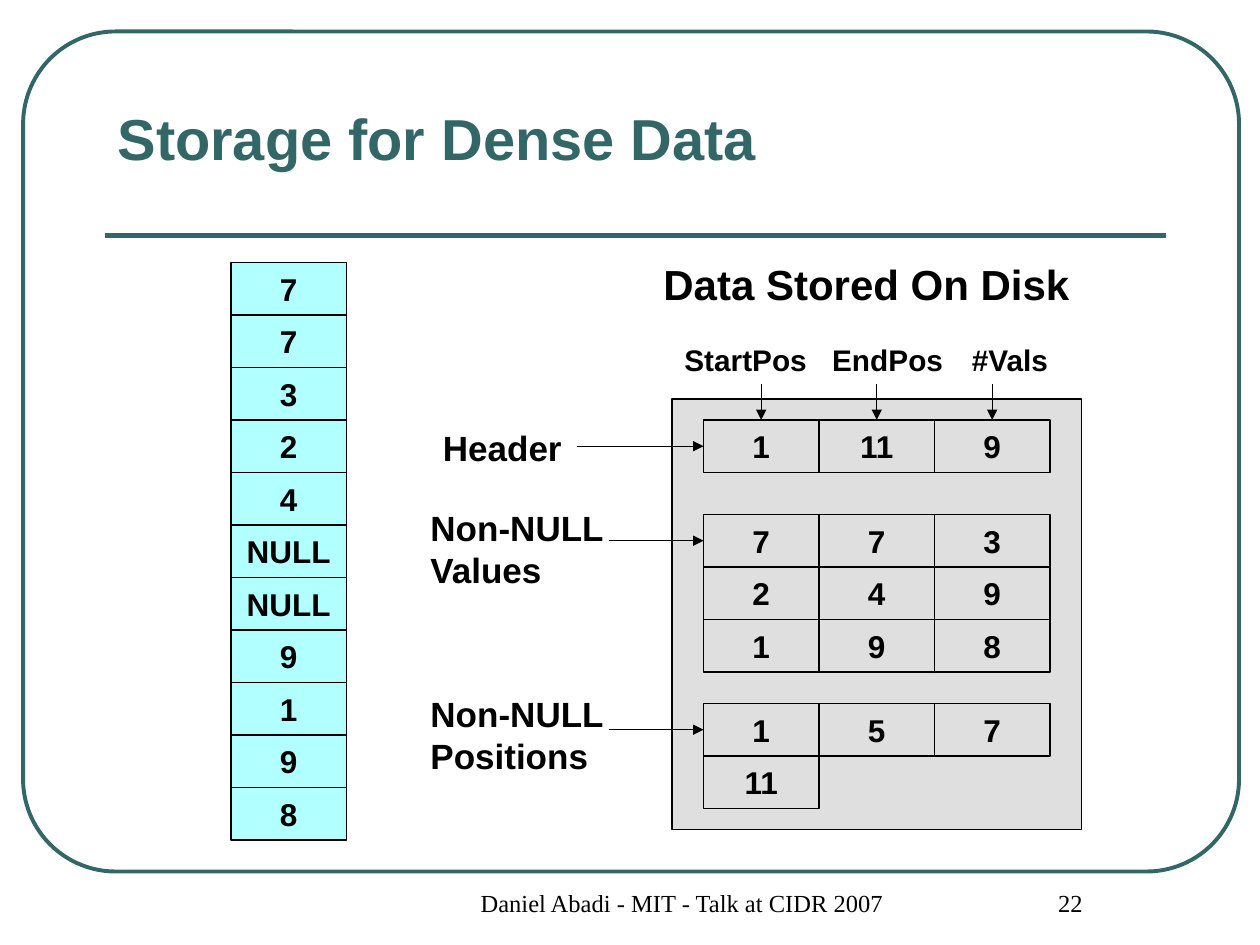
from pptx import Presentation
from pptx import util as u
from pptx.dml.color import RGBColor
from pptx.enum import shapes, text
from pptx.oxml.ns import qn
from lxml import etree

COLORS = {"teal": "336666", "cyan": "00FFFF", "gray": "C0C0C0", "black": "000000"}

# The slide is a grid of 120 columns by 90 rows
COLS, ROWS = 120, 90
SLIDE_W, SLIDE_H = u.Inches(10), u.Inches(7.5)
CELL_W, CELL_H = 11, 5

TITLE = "Storage for Dense Data"
SOURCE_COLUMN = [["7"], ["7"], ["3"], ["2"], ["4"], ["NULL"], ["NULL"],
                 ["9"], ["1"], ["9"], ["8"]]
SOURCE_AT = (22, 25)
PANEL = (64, 38, 39, 41)
BLOCK_LEFT = 67
# top row, cells, label, label box, arrow start column, label insets in inches
BLOCKS = [
    (40, [["1", "11", "9"]],
     "Header", (41, 40, 14, 5.3), 55, (0.1, 0.05, 0.1, 0.05)),
    (49, [["7", "7", "3"], ["2", "4", "9"], ["1", "9", "8"]],
     "Non-NULL Values", (41, 47, 17, 9.2), 58, (0, 0.1, 0, 0)),
    (67, [["1", "5", "7"], ["11"]],
     "Non-NULL Positions", (41, 64.8, 17, 9.2), 58, (0, 0.1, 0, 0)),
]
HEADINGS = [("StartPos", 64, 17, "LEFT"), ("EndPos", 76, 15, "RIGHT"),
            ("#Vals", 88, 13, "RIGHT")]
HEADING_TOP, HEADING_H, HEADING_ARROW_TOP = 32, 4.7, 36.6
FOOTERS = [("Daniel Abadi - MIT - Talk at CIDR 2007", (38, 84, 51, 6)),
           ("22", (90, 84, 21, 6))]


def grid_x(col):
    return round(SLIDE_W * col / COLS)


def grid_y(row):
    return round(SLIDE_H * row / ROWS)


def grid_box(left, top, width, height):
    return grid_x(left), grid_y(top), grid_x(width), grid_y(height)


def rgb(name):
    return RGBColor.from_string(COLORS[name])


def write(sp, content, size, align="LEFT", font="Arial", bold=True, color="black",
          anchor="TOP", insets=(0.1, 0.05, 0.1, 0.05), wrap=True, grow=False):
    tf = sp.text_frame
    auto = text.MSO_AUTO_SIZE
    frame_format = {
        "word_wrap": wrap,
        "vertical_anchor": getattr(text.MSO_ANCHOR, anchor),
        "auto_size": auto.SHAPE_TO_FIT_TEXT if grow else auto.NONE,
    }
    for side, inset in zip(("left", "top", "right", "bottom"), insets):
        frame_format["margin_" + side] = u.Inches(inset)
    for name, value in frame_format.items():
        setattr(tf, name, value)
    p = tf.paragraphs[0]
    p.alignment = getattr(text.PP_ALIGN, align)
    r = p.add_run()
    r.text = content
    for name, value in {"size": u.Pt(size), "name": font, "bold": bold}.items():
        setattr(r.font, name, value)
    r.font.color.rgb = rgb(color)


def add_label(slide, box, content, size, **fmt):
    write(slide.shapes.add_textbox(*grid_box(*box)), content, size, **fmt)


def add_box(slide, box, fill=None, opacity=100, line="black", weight=0.75,
            kind=shapes.MSO_SHAPE.RECTANGLE):
    sp = slide.shapes.add_shape(kind, *grid_box(*box))
    sp.shadow.inherit = False
    sp.line.color.rgb = rgb(line)
    sp.line.width = u.Pt(weight)
    if fill:
        sp.fill.solid()
        sp.fill.fore_color.rgb = rgb(fill)
        clr = sp.fill._xPr.find(qn("a:solidFill"))[0]
        etree.SubElement(clr, qn("a:alpha"), val=str(opacity * 1000))
    else:
        sp.fill.background()
    return sp


def add_cells(slide, left, top, rows, **fill):
    """Draw rows of touching cells and return the shapes row by row."""
    cells = []
    for i, row in enumerate(rows):
        cells.append([])
        for j, value in enumerate(row):
            sp = add_box(slide, (left + j * CELL_W, top + i * CELL_H, CELL_W, CELL_H),
                         **fill)
            write(sp, value, 18, align="CENTER", anchor="MIDDLE", wrap=False)
            cells[-1].append(sp)
    return cells


def add_line(slide, start, end, color="black", weight=0.75):
    line = slide.shapes.add_connector(
        shapes.MSO_CONNECTOR.STRAIGHT,
        grid_x(start[0]), grid_y(start[1]), grid_x(end[0]), grid_y(end[1]))
    line.line.color.rgb = rgb(color)
    line.line.width = u.Pt(weight)
    etree.SubElement(line._element.spPr, qn("a:effectLst"))
    return line


def add_arrow(slide, start, end, target, site):
    arrow = add_line(slide, start, end)
    etree.SubElement(arrow.line._get_or_add_ln(), qn("a:tailEnd"), type="triangle")
    arrow.end_connect(target, site)


def main():
    prs = Presentation()
    prs.slide_width, prs.slide_height = SLIDE_W, SLIDE_H
    slide = prs.slides.add_slide(prs.slide_layouts[5])

    frame = add_box(slide, (2.2, 3, 115.8, 80), line="teal", weight=2.25,
                    kind=shapes.MSO_SHAPE.ROUNDED_RECTANGLE)
    frame.adjustments[0] = 0.11
    add_line(slide, (10, 22.4), (111, 22.4), "teal", 3)

    title = slide.shapes.title
    title.left, title.top, title.width, title.height = grid_box(10, 4, 88, 13)
    write(title, TITLE, 33, color="teal", anchor="BOTTOM")

    add_cells(slide, *SOURCE_AT, SOURCE_COLUMN, fill="cyan", opacity=30)
    add_label(slide, (62, 24, 44, 6), "Data Stored On Disk", 24, grow=True)
    add_box(slide, PANEL, fill="gray", opacity=50)

    blocks = []
    for top, rows, label, box, arrow_left, insets in BLOCKS:
        cells = add_cells(slide, BLOCK_LEFT, top, rows)
        blocks.append(cells)
        add_label(slide, box, label, 20, insets=insets, grow=True)
        middle = top + CELL_H / 2
        add_arrow(slide, (arrow_left, middle), (BLOCK_LEFT, middle), cells[0][0], 1)

    header_top, header_cells = BLOCKS[0][0], blocks[0][0]
    for j, (heading, left, width, align) in enumerate(HEADINGS):
        add_label(slide, (left, HEADING_TOP, width, HEADING_H), heading, 17,
                  align=align, grow=True)
        center = BLOCK_LEFT + (j + 0.5) * CELL_W
        add_arrow(slide, (center, HEADING_ARROW_TOP), (center, header_top),
                  header_cells[j], 0)

    for content, box in FOOTERS:
        add_label(slide, box, content, 14, align="CENTER", font="Times New Roman",
                  bold=False, insets=(0.34, 0.05, 0.1, 0.05))

    prs.save("out.pptx")


if __name__ == "__main__":
    main()
